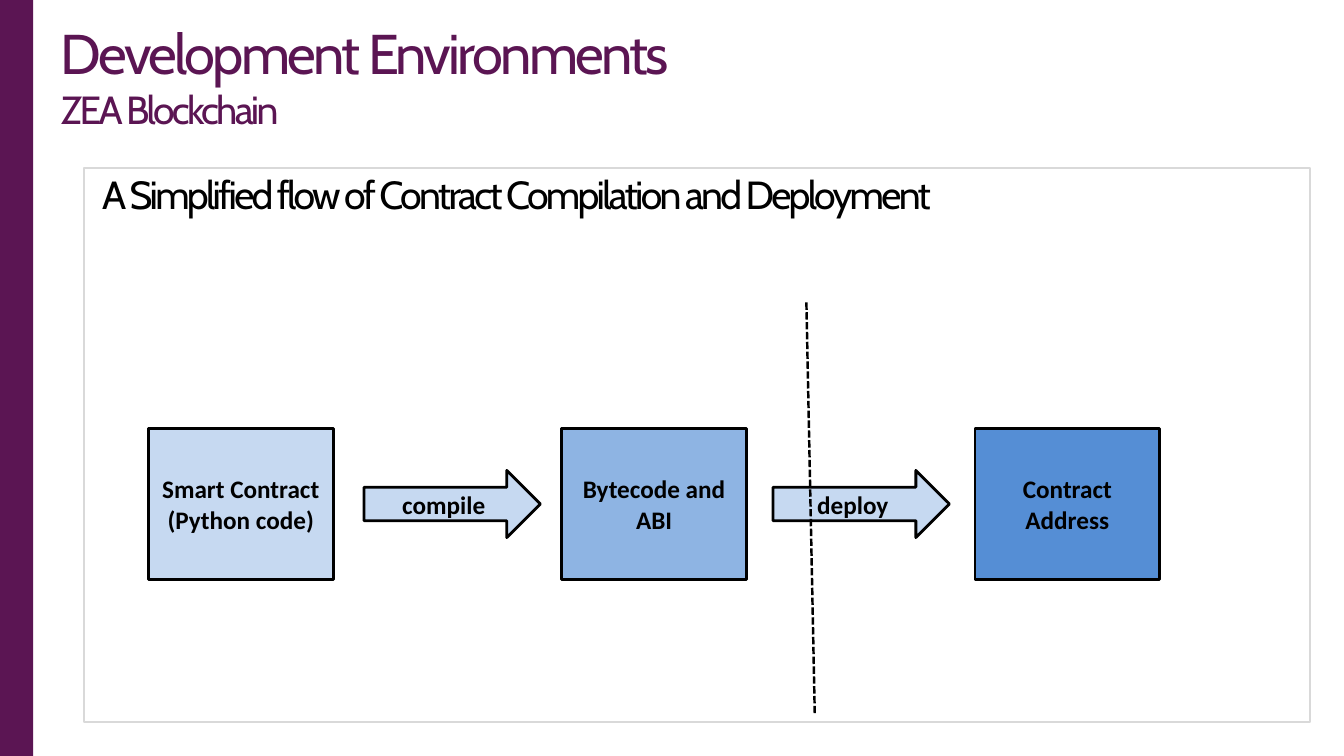
from lxml import etree
from pptx import Presentation
from pptx.dml.color import RGBColor
from pptx.enum import dml, shapes, text
from pptx.oxml import ns
from pptx.util import Pt

PURPLE, BLACK, WHITE, GREY = "5B1553", "000000", "FFFFFF", "D9D9D9"
LIGHT, MEDIUM, DARK = "C6D9F1", "8EB4E3", "558ED5"
RECT = shapes.MSO_SHAPE.RECTANGLE
ARROW = shapes.MSO_SHAPE.RIGHT_ARROW


def colour(hex_string):
    return RGBColor.from_string(hex_string)


def add_run(p, words, size, font, hex_string, bold=False, spacing=None):
    r = p.add_run()
    r.text = words
    r.font.size, r.font.name, r.font.bold = Pt(size), font, bold
    r.font.color.rgb = colour(hex_string)
    if spacing is not None:
        r.font._element.set("spc", str(round(spacing * 100)))


def add_box(slide, kind, box, fill, line=None, width=0, lines=()):
    sp = slide.shapes.add_shape(kind, *map(Pt, box))
    sp.shadow.inherit = False
    sp.fill.solid()
    sp.fill.fore_color.rgb = colour(fill)
    if line:
        sp.line.color.rgb = colour(line)
        sp.line.width = Pt(width)
    else:
        sp.line.fill.background()
    tf = sp.text_frame
    tf.vertical_anchor = text.MSO_ANCHOR.MIDDLE
    for i, words in enumerate(lines):
        p = tf.add_paragraph() if i else tf.paragraphs[0]
        p.alignment = text.PP_ALIGN.CENTER
        add_run(p, words, 18, "Calibri", BLACK, bold=True)


def fill_heading(sp, box, lines, hex_string):
    """Place a heading and write its (words, size) lines in one paragraph."""
    sp.left, sp.top, sp.width, sp.height = map(Pt, box)
    tf = sp.text_frame
    tf.word_wrap = True
    tf.auto_size = text.MSO_AUTO_SIZE.SHAPE_TO_FIT_TEXT
    tf.vertical_anchor = text.MSO_ANCHOR.TOP
    tf.margin_left = tf.margin_right = tf.margin_bottom = 0
    tf.margin_top = Pt(0.9)
    p = tf.paragraphs[0]
    p.alignment = text.PP_ALIGN.LEFT
    p.space_before = Pt(0.9)
    p._p.get_or_add_pPr().set("marL", str(Pt(0.9)))
    for i, (words, size) in enumerate(lines):
        if i:
            p.add_line_break()
        add_run(p, words, size, "Cabin", hex_string, spacing=-1.9)


def add_dashed_line(slide, start, end):
    line = slide.shapes.add_connector(
        shapes.MSO_CONNECTOR.STRAIGHT, *map(Pt, start + end))
    line.line.color.rgb = colour(BLACK)
    line.line.width = Pt(1.75)
    line.line.dash_style = dml.MSO_LINE.SQUARE_DOT
    etree.SubElement(line._element.spPr, ns.qn("a:effectLst"))


def main():
    prs = Presentation()
    prs.slide_width, prs.slide_height = Pt(960), Pt(540)
    slide = prs.slides.add_slide(prs.slide_layouts[5])

    # Side bar, title and content frame
    add_box(slide, RECT, (0, 0, 23.6, 540), PURPLE)
    add_box(slide, RECT, (60, 120, 876, 396), WHITE, GREY, 1.5)
    fill_heading(slide.shapes.title, (42.5, 12.2, 737, 83.5),
                 [("Development Environments", 40), ("ZEA Blockchain", 28)],
                 PURPLE)

    # Stages at an equal pitch
    stages = [(LIGHT, ["Smart Contract", "(Python code)"]),
              (MEDIUM, ["Bytecode and ABI"]),
              (DARK, ["Contract Address"])]
    for i, (fill, lines) in enumerate(stages):
        add_box(slide, RECT, (106 + 295.2 * i, 306, 132, 108),
                fill, BLACK, 2, lines)

    # Steps between the stages
    for left, step in ((260, "compile"), (552.2, "deploy")):
        add_box(slide, ARROW, (left, 336, 126, 48), LIGHT, BLACK, 2, [step])

    # Divider and frame heading
    add_dashed_line(slide, (576, 216), (582, 510))
    heading = slide.shapes.add_textbox(0, 0, 0, 0)
    fill_heading(heading, (72, 121, 821.5, 34.6),
                 [("A Simplified flow of Contract Compilation and Deployment", 28)],
                 BLACK)

    prs.save("out.pptx")


if __name__ == "__main__":
    main()
